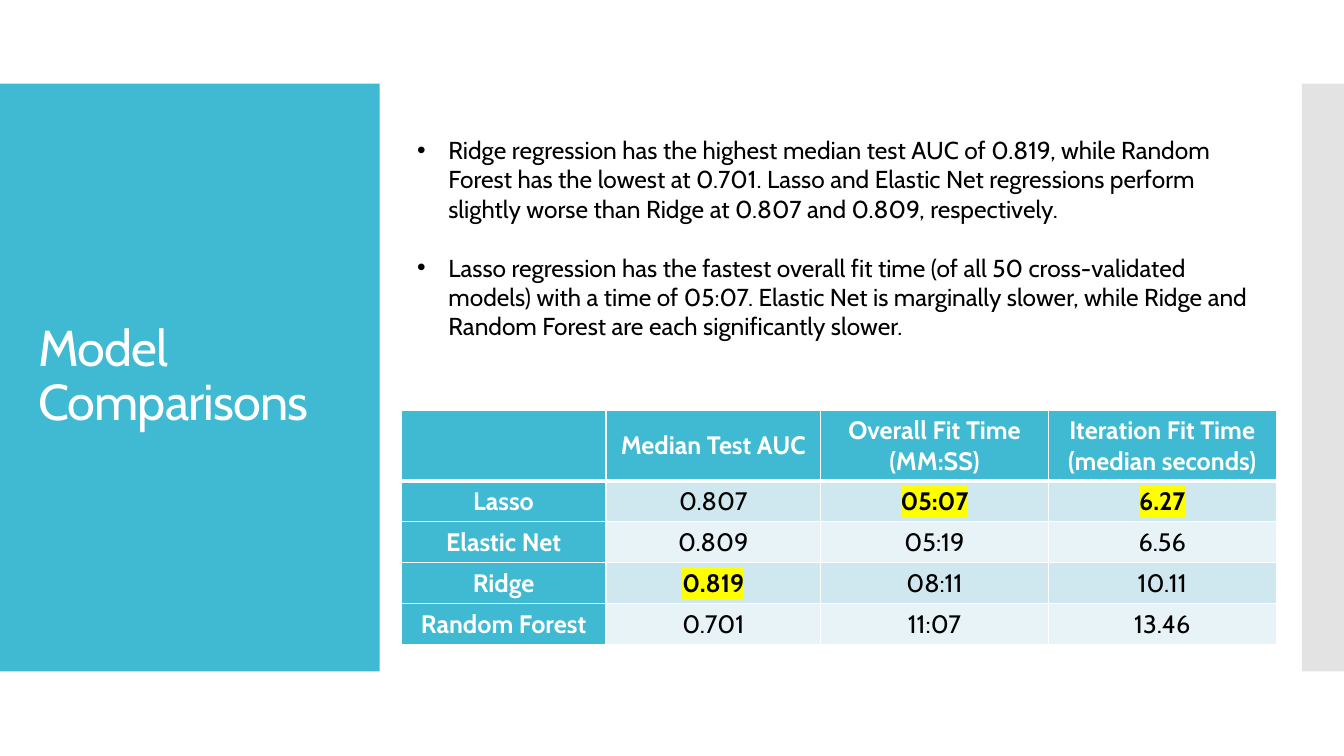
import pptx
import pptx.util
import pptx.dml.color
import pptx.enum.shapes
import pptx.enum.text
import pptx.oxml.ns
import lxml.etree

Cm = pptx.util.Cm
Pt = pptx.util.Pt
RGBColor = pptx.dml.color.RGBColor
ANCHOR = pptx.enum.text.MSO_ANCHOR
ALIGN = pptx.enum.text.PP_ALIGN
qn = pptx.oxml.ns.qn

TEAL = RGBColor(0x40, 0xBA, 0xD2)
GREY = RGBColor(0xC8, 0xC8, 0xC8)
BAND_DARK = RGBColor(0xCF, 0xE7, 0xEE)
BAND_LIGHT = RGBColor(0xE8, 0xF3, 0xF7)
YELLOW = RGBColor(0xFF, 0xFF, 0x00)
WHITE = RGBColor(0xFF, 0xFF, 0xFF)
BLACK = RGBColor(0, 0, 0)


def add_text(p, text, size=18, color=BLACK, bold=False, align=None, highlight=None, spacing=None):
    p.alignment = align
    r = p.add_run()
    r.text = text
    r.font.name = "Cabin"
    r.font.size = Pt(size)
    r.font.bold = bold
    r.font.color.rgb = color
    rPr = r.font._element
    if spacing:
        rPr.set("spc", str(spacing))
    if highlight:
        mark = lxml.etree.Element(qn("a:highlight"))
        lxml.etree.SubElement(mark, qn("a:srgbClr"), val=str(highlight))
        rPr.find(qn("a:solidFill")).addnext(mark)


def add_border(cell, side, width):
    tcPr = cell._tc.get_or_add_tcPr()
    ln = lxml.etree.SubElement(tcPr, qn("a:ln" + side), w=str(Pt(width)))
    fill = lxml.etree.SubElement(ln, qn("a:solidFill"))
    lxml.etree.SubElement(fill, qn("a:srgbClr"), val=str(WHITE))


prs = pptx.Presentation()
prs.slide_width = Cm(33.87)
prs.slide_height = Cm(19.05)
s = prs.slides.add_slide(prs.slide_layouts[6])

for left, width, color in [(0, 9.57, TEAL), (32.81, 1.06, GREY)]:
    sp = s.shapes.add_shape(pptx.enum.shapes.MSO_SHAPE.RECTANGLE,
                            Cm(left), Cm(2.11), Cm(width), Cm(14.81))
    sp.shadow.inherit = False
    sp.fill.solid()
    sp.fill.fore_color.rgb = color
    sp.line.fill.background()
clr = sp._element.spPr.find(qn("a:solidFill")).find(qn("a:srgbClr"))
lxml.etree.SubElement(clr, qn("a:alpha"), val="50000")

title = s.shapes.add_textbox(Cm(0.71), Cm(3.12), Cm(8.18), Cm(12.78))
tf = title.text_frame
tf.word_wrap = True
tf.vertical_anchor = ANCHOR.MIDDLE
tf.paragraphs[0].line_spacing = 0.9
add_text(tf.paragraphs[0], "Model Comparisons", size=36, color=WHITE, spacing=-60)

header = ["", "Median Test AUC", "Overall Fit Time (MM:SS)", "Iteration Fit Time (median seconds)"]
rows = [
    header,
    ["Lasso", "0.807", "05:07", "6.27"],
    ["Elastic Net", "0.809", "05:19", "6.56"],
    ["Ridge", "0.819", "08:11", "10.11"],
    ["Random Forest", "0.701", "11:07", "13.46"],
]
best = {"0.819", "05:07", "6.27"}
widths = [5.16, 5.41, 5.74, 5.74]
heights = [1.78] + [1.03] * 4

table = s.shapes.add_table(len(rows), len(header), Cm(10.11), Cm(10.34),
                           Cm(sum(widths)), Cm(sum(heights))).table
for column, width in zip(table.columns, widths):
    column.width = Cm(width)
for i, row in enumerate(rows):
    table.rows[i].height = Cm(heights[i])
    for j, text in enumerate(row):
        cell = table.cell(i, j)
        is_label = i == 0 or j == 0
        for side in "LRTB":
            heavy = (i, side) in [(0, "B"), (1, "T")]
            add_border(cell, side, 3 if heavy else 1)
        cell.fill.solid()
        cell.fill.fore_color.rgb = TEAL if is_label else BAND_DARK if i % 2 else BAND_LIGHT
        cell.vertical_anchor = ANCHOR.MIDDLE
        if text:
            add_text(cell.text_frame.paragraphs[0], text, align=ALIGN.CENTER,
                     color=WHITE if is_label else BLACK,
                     bold=is_label or text in best,
                     highlight=YELLOW if text in best else None)

findings = [
    "Ridge regression has the highest median test AUC of 0.819, while Random Forest has the "
    "lowest at 0.701. Lasso and Elastic Net regressions perform slightly worse than Ridge at "
    "0.807 and 0.809, respectively.",
    "Lasso regression has the fastest overall fit time (of all 50 cross-validated models) with "
    "a time of 05:07. Elastic Net is marginally slower, while Ridge and Random Forest are each "
    "significantly slower.",
]
body = s.shapes.add_textbox(Cm(10.26), Cm(3.28), Cm(22.07), Cm(6.25))
tf = body.text_frame
tf.word_wrap = True
for i, text in enumerate(findings):
    p = tf.add_paragraph() if i else tf.paragraphs[0]
    p.space_before = Pt(21 if i else 0)
    pPr = p._p.get_or_add_pPr()
    pPr.set("marL", str(Cm(0.79)))
    pPr.set("indent", str(-Cm(0.79)))
    lxml.etree.SubElement(pPr, qn("a:buFont"), typeface="Arial")
    lxml.etree.SubElement(pPr, qn("a:buChar"), char="•")
    add_text(p, text, size=17.5)

prs.save("out.pptx")
